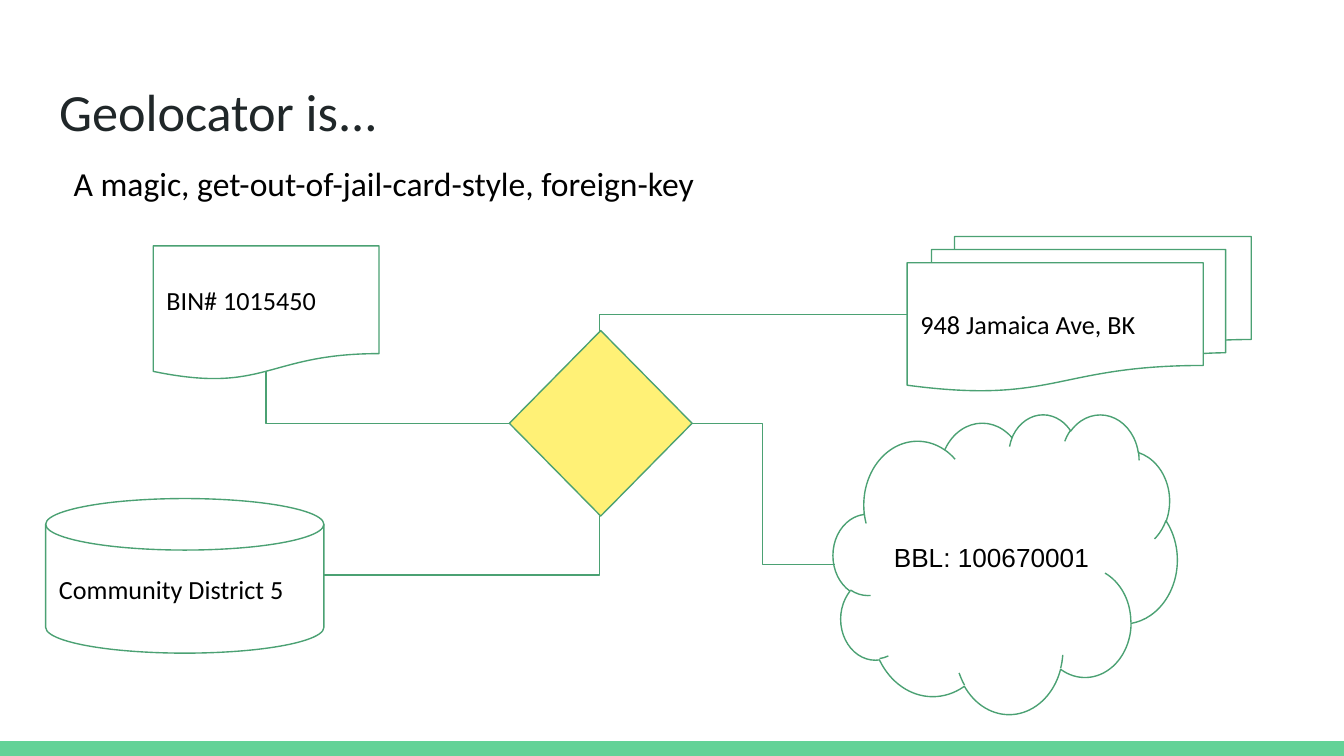
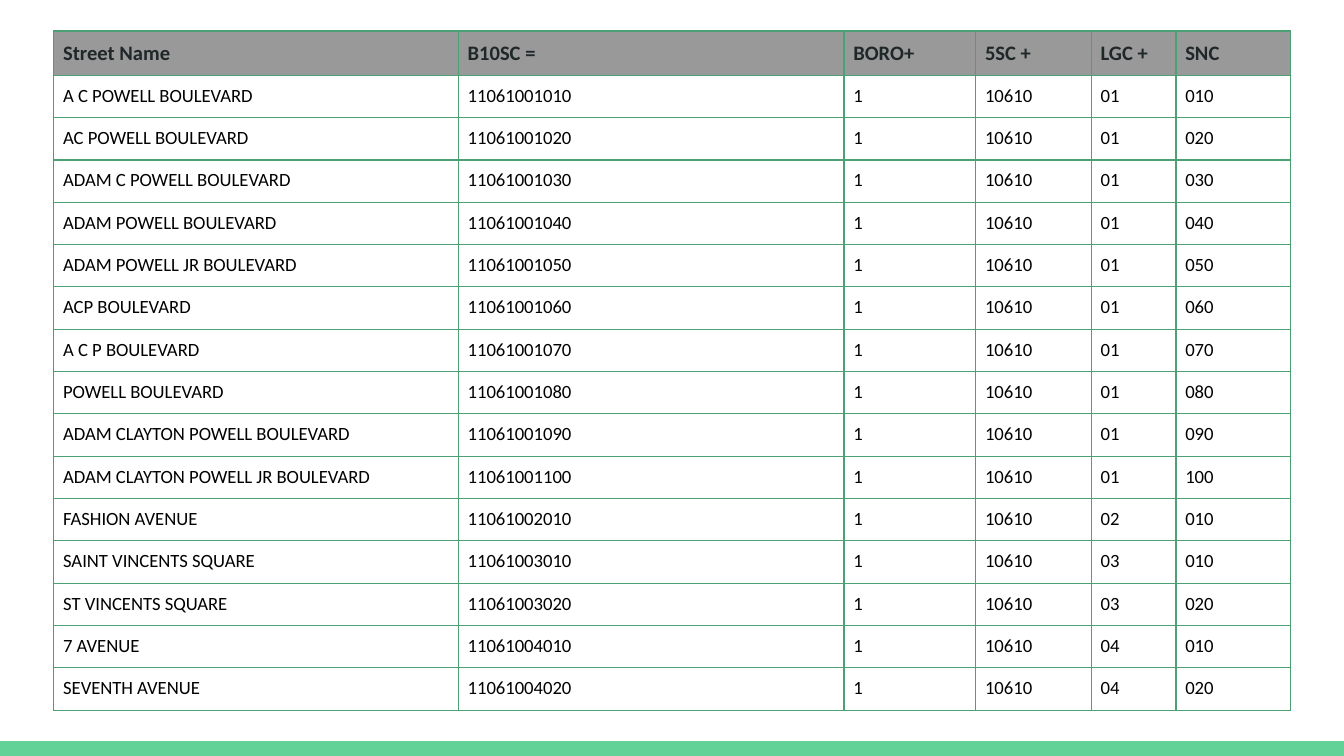
from dataclasses import dataclass

from lxml import etree
from pptx import Presentation
from pptx.dml.color import RGBColor
from pptx.enum.shapes import MSO_CONNECTOR, MSO_SHAPE
from pptx.enum.text import MSO_ANCHOR, MSO_AUTO_SIZE, PP_ALIGN
from pptx.oxml.ns import qn
from pptx.util import Inches, Length, Pt

RECT = MSO_SHAPE.RECTANGLE
DOCUMENT = MSO_SHAPE.FLOWCHART_DOCUMENT
DOCUMENTS = MSO_SHAPE.FLOWCHART_MULTIDOCUMENT
DISK = MSO_SHAPE.FLOWCHART_MAGNETIC_DISK
CLOUD = MSO_SHAPE.CLOUD
DECISION = MSO_SHAPE.FLOWCHART_DECISION
ELBOW = MSO_CONNECTOR.ELBOW
TOP, MIDDLE = MSO_ANCHOR.TOP, MSO_ANCHOR.MIDDLE
LEFT = PP_ALIGN.LEFT
NO_AUTOFIT = MSO_AUTO_SIZE.NONE

GREEN, BAND_GREEN, YELLOW = "4BA173", "63D297", "FFF176"
WHITE, BLACK, INK, GREY = "FFFFFF", "000000", "202729", "999999"
FONT = "Calibri"
LINE_WIDTH = Pt(0.75)
SLIDE_W = Inches(10)
SLIDE_H = SLIDE_W * 9 // 16
BAND_H = Inches(0.11)
TITLE_ONLY, BLANK = 5, 6


@dataclass
class Node:
    """A flowchart shape with its box in inches."""
    kind: int
    left: float
    top: float
    width: float
    height: float
    text: str = ""
    fill: str = WHITE
    font: str = FONT


@dataclass
class Link:
    """An elbow between connection sites of two named nodes."""
    start: str
    start_site: int
    end: str
    end_site: int
    x1: float
    y1: float
    x2: float
    y2: float
    preset: str = "bentConnector2"


NODES = {
    "building": Node(DOCUMENT, 1.14, 1.83, 1.68, 1, "BIN# 1015450"),
    "address": Node(DOCUMENTS, 6.75, 1.76, 2.56, 1.15, "948 Jamaica Ave, BK"),
    "district": Node(DISK, 0.34, 3.71, 2.07, 1.15, "Community District 5"),
    "lot": Node(CLOUD, 6.2, 3.08, 2.56, 2.23, "BBL: 100670001", font="Arial"),
    "key": Node(DECISION, 3.79, 2.46, 1.36, 1.38, fill=YELLOW),
}
LINKS = [
    Link("address", 1, "key", 0, 6.75, 2.34, 4.46, 2.46),
    Link("district", 4, "key", 2, 2.41, 4.28, 4.46, 3.84),
    Link("key", 1, "building", 2, 3.79, 3.15, 1.98, 2.77),
    Link("key", 3, "lot", 2, 5.14, 3.15, 6.21, 4.2, "bentConnector3"),
]

HEADINGS = ["Street Name", "B10SC =", "BORO+", "5SC +", "LGC +", "SNC"]
COLUMN_WIDTHS = [3.01, 2.87, 0.98, 0.86, 0.63, 0.85]
TABLE_LEFT, TABLE_TOP, TABLE_BOTTOM, HEADER_H = 0.4, 0.23, 5.29, 0.33
STREETS = [
    ("A C POWELL BOULEVARD", "11061001010"),
    ("AC POWELL BOULEVARD", "11061001020"),
    ("ADAM C POWELL BOULEVARD", "11061001030"),
    ("ADAM POWELL BOULEVARD", "11061001040"),
    ("ADAM POWELL JR BOULEVARD", "11061001050"),
    ("ACP BOULEVARD", "11061001060"),
    ("A C P BOULEVARD", "11061001070"),
    ("POWELL BOULEVARD", "11061001080"),
    ("ADAM CLAYTON POWELL BOULEVARD", "11061001090"),
    ("ADAM CLAYTON POWELL JR BOULEVARD", "11061001100"),
    ("FASHION AVENUE", "11061002010"),
    ("SAINT VINCENTS SQUARE", "11061003010"),
    ("ST VINCENTS SQUARE", "11061003020"),
    ("7 AVENUE", "11061004010"),
    ("SEVENTH AVENUE", "11061004020"),
]


def rgb(color: str) -> RGBColor:
    """Turn a hex string into a colour."""
    return RGBColor.from_string(color)


def write(tf, text: str, *, size: float, color: str = BLACK, font: str = FONT,
          bold: bool = False) -> None:
    """Write one left-aligned, formatted paragraph into a text frame."""
    p = tf.paragraphs[0]
    p.alignment = LEFT
    r = p.add_run()
    r.text = text
    r.font.size = Pt(size)
    r.font.name = font
    r.font.bold = bold
    r.font.color.rgb = rgb(color)


def set_frame(tf, anchor: int, inset: float = 0.1) -> None:
    """Set wrapping, anchor and equal insets."""
    tf.word_wrap = True
    tf.auto_size = NO_AUTOFIT
    tf.vertical_anchor = anchor
    tf.margin_left = tf.margin_right = Inches(inset)
    tf.margin_top = tf.margin_bottom = Inches(inset)


def add_base(prs, layout: int):
    """Add a slide with the bottom band."""
    s = prs.slides.add_slide(prs.slide_layouts[layout])
    s.background.fill.solid()
    s.background.fill.fore_color.rgb = rgb(WHITE)
    add_filled(s, RECT, 0, SLIDE_H - BAND_H, SLIDE_W, BAND_H, BAND_GREEN)
    return s


def add_filled(s, kind: int, left: Length, top: Length, width: Length,
               height: Length, fill: str):
    """Add a flat shape without outline."""
    sp = s.shapes.add_shape(kind, left, top, width, height)
    sp.shadow.inherit = False
    sp.fill.solid()
    sp.fill.fore_color.rgb = rgb(fill)
    sp.line.fill.background()
    return sp


def set_line(line) -> None:
    """Apply the thin green line."""
    line.color.rgb = rgb(GREEN)
    line.width = LINE_WIDTH


def add_node(s, node: Node):
    """Draw a flowchart node and its label."""
    box = [Inches(v) for v in (node.left, node.top, node.width, node.height)]
    sp = add_filled(s, node.kind, *box, node.fill)
    set_line(sp.line)
    if node.text:
        set_frame(sp.text_frame, MIDDLE)
        write(sp.text_frame, node.text, size=14, font=node.font)
    return sp


def add_link(s, link: Link, shapes: dict) -> None:
    """Draw an elbow and glue both ends to their connection sites."""
    ends = [Inches(v) for v in (link.x1, link.y1, link.x2, link.y2)]
    c = s.shapes.add_connector(ELBOW, *ends)
    set_line(c.line)
    sp_pr = c._element.spPr
    sp_pr.find(qn("a:prstGeom")).set("prst", link.preset)
    etree.SubElement(sp_pr, qn("a:effectLst"))
    joints = c._element.nvCxnSpPr.cNvCxnSpPr
    for tag, name, site in (("a:stCxn", link.start, link.start_site),
                            ("a:endCxn", link.end, link.end_site)):
        etree.SubElement(joints, qn(tag), id=str(shapes[name].shape_id),
                         idx=str(site))


def set_borders(cell) -> None:
    """Give a cell the green line on all four sides."""
    tc_pr = cell._tc.get_or_add_tcPr()
    for side in ("a:lnL", "a:lnR", "a:lnT", "a:lnB"):
        ln = etree.SubElement(tc_pr, qn(side), w=str(LINE_WIDTH))
        fill = etree.SubElement(ln, qn("a:solidFill"))
        etree.SubElement(fill, qn("a:srgbClr"), val=GREEN)


def fill_cell(cell, text: str, header: bool) -> None:
    """Format one table cell and write its text."""
    set_borders(cell)
    cell.vertical_anchor = TOP
    cell.margin_left = cell.margin_right = Inches(0.07)
    cell.margin_top = cell.margin_bottom = Inches(0.07)
    if header:
        cell.fill.solid()
        cell.fill.fore_color.rgb = rgb(GREY)
        write(cell.text_frame, text, size=11, color=INK, bold=True)
    else:
        cell.fill.background()
        write(cell.text_frame, text, size=10)


def split_code(code: str) -> list[str]:
    """Split a B10SC code into borough, street, group and name parts."""
    return [code[0], code[1:6], code[6:8], code[8:]]


def build_diagram(prs) -> None:
    """Build the slide with the identifiers around the key."""
    s = add_base(prs, TITLE_ONLY)
    title = s.shapes.title
    title.left, title.top = Inches(0.34), Inches(0.49)
    title.width, title.height = Inches(9.32), Inches(0.63)
    set_frame(title.text_frame, TOP)
    write(title.text_frame, "Geolocator is...", size=28, color=INK)
    shapes = {name: add_node(s, node) for name, node in NODES.items()}
    subtitle = s.shapes.add_textbox(Inches(0.45), Inches(1.11),
                                    Inches(8.96), Inches(0.56))
    set_frame(subtitle.text_frame, TOP)
    write(subtitle.text_frame,
          "A magic, get-out-of-jail-card-style, foreign-key", size=18)
    for link in LINKS:
        add_link(s, link, shapes)


def build_street_table(prs) -> None:
    """Build the slide with the street code table."""
    s = add_base(prs, BLANK)
    rows = [HEADINGS] + [[name, code, *split_code(code)] for name, code in STREETS]
    table = s.shapes.add_table(
        len(rows), len(HEADINGS), Inches(TABLE_LEFT), Inches(TABLE_TOP),
        Inches(sum(COLUMN_WIDTHS)), Inches(TABLE_BOTTOM - TABLE_TOP)).table
    table.horz_banding = False
    for column, width in zip(table.columns, COLUMN_WIDTHS):
        column.width = Inches(width)
    row_h = (TABLE_BOTTOM - TABLE_TOP - HEADER_H) / len(STREETS)
    for i, values in enumerate(rows):
        table.rows[i].height = Inches(row_h if i else HEADER_H)
        for j, value in enumerate(values):
            fill_cell(table.cell(i, j), value, header=i == 0)


def main() -> None:
    """Build and save the presentation."""
    prs = Presentation()
    prs.slide_width, prs.slide_height = SLIDE_W, SLIDE_H
    build_diagram(prs)
    build_street_table(prs)
    prs.save("out.pptx")


if __name__ == "__main__":
    main()
